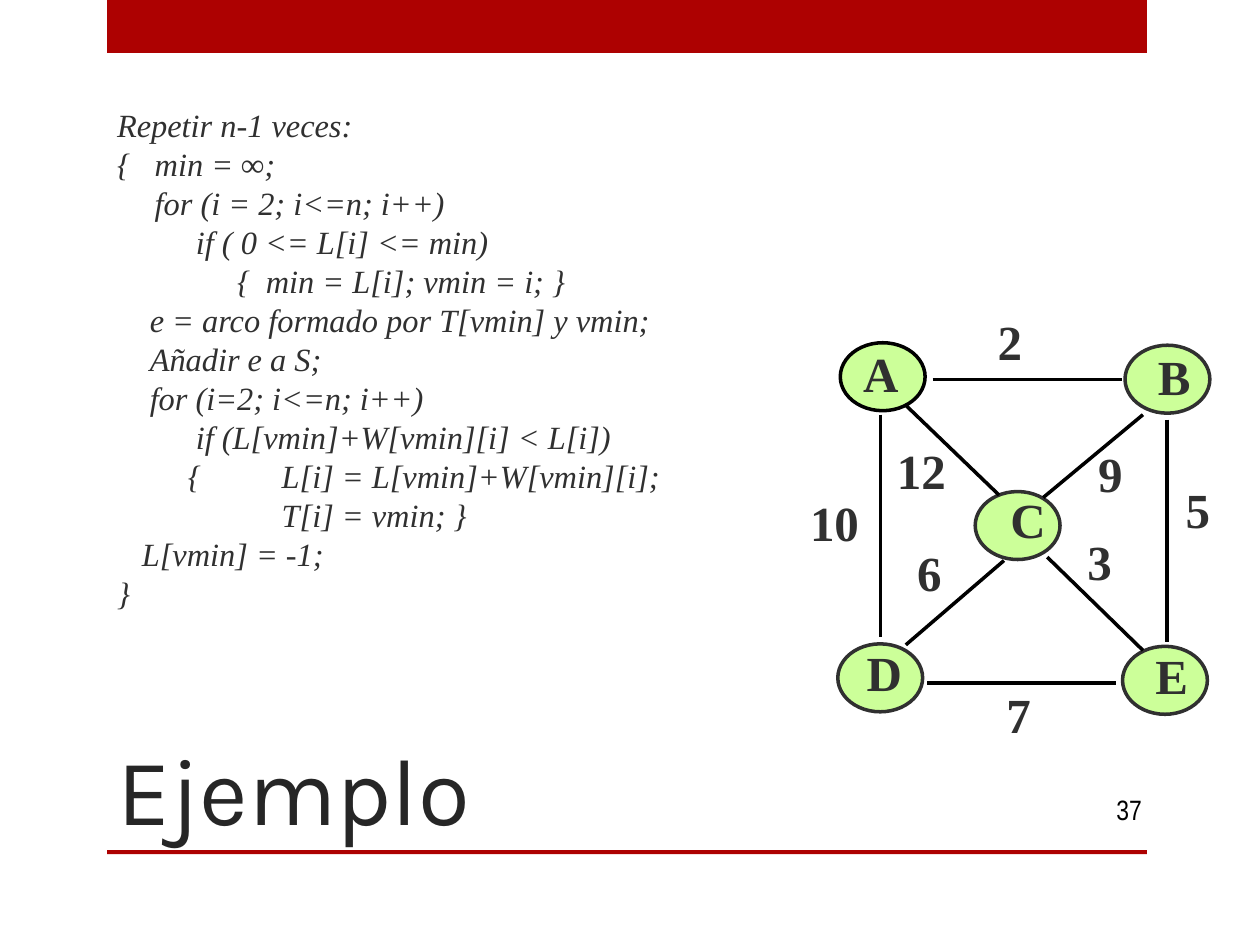
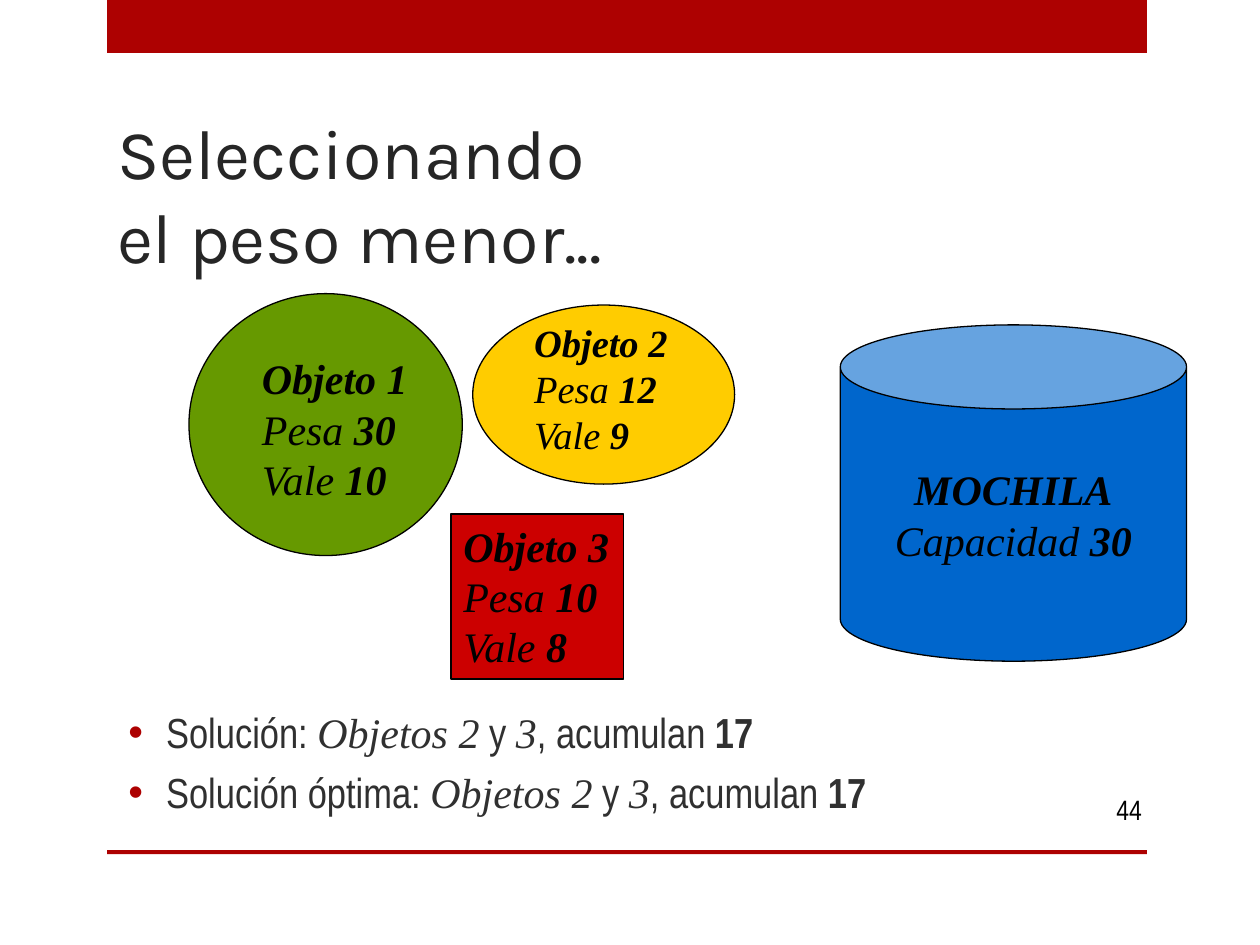
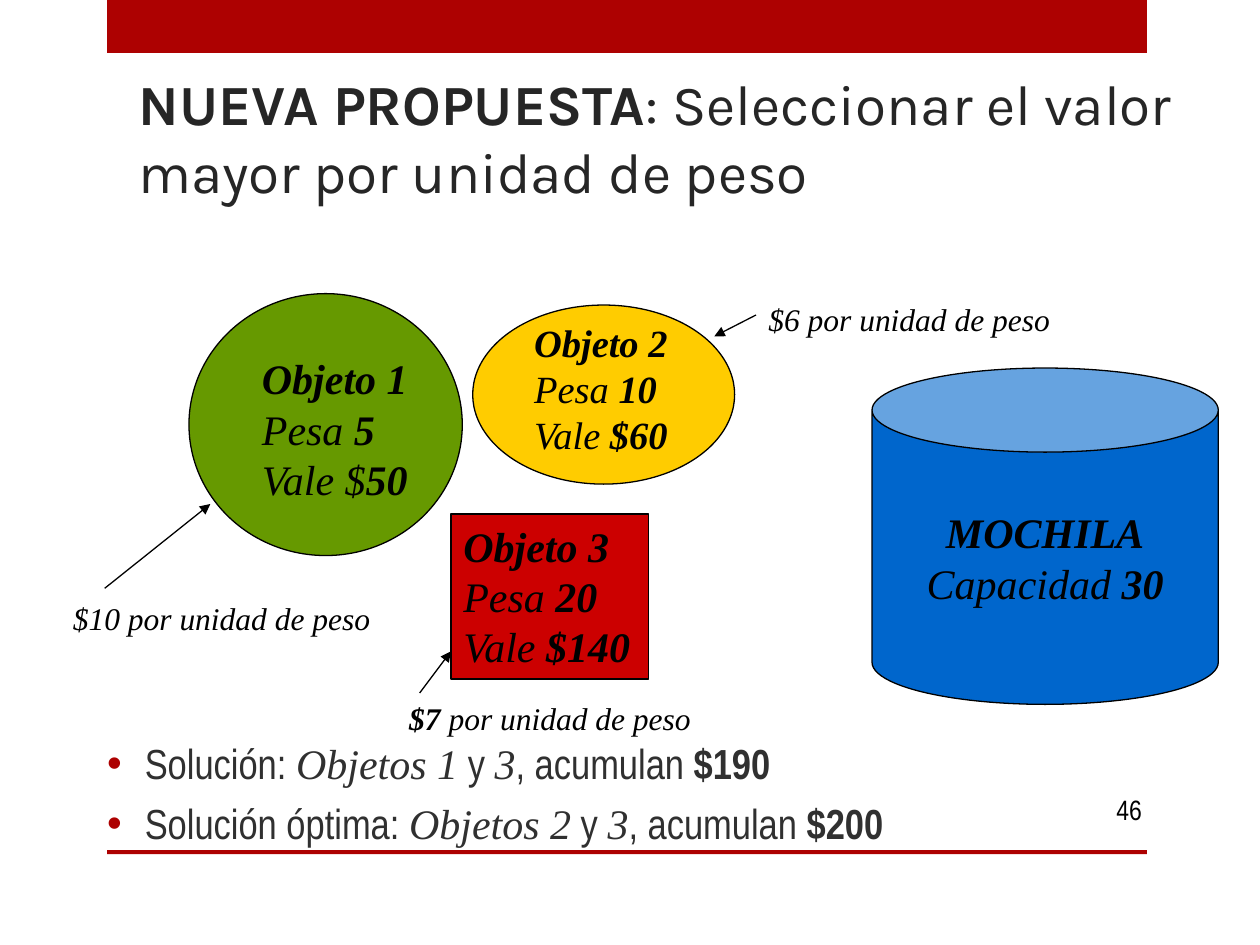
from lxml.etree import SubElement
from pptx import Presentation
from pptx.dml.color import RGBColor as RGB
from pptx.enum.shapes import MSO_CONNECTOR as CONN, MSO_SHAPE as SHAPE
from pptx.enum.text import MSO_ANCHOR as ANCHOR, PP_ALIGN as ALIGN
from pptx.oxml.ns import qn
from pptx.util import Cm, Pt


class Theme:
    red = "AD0101"
    title = "262626"
    text = "303030"
    black = "000000"
    node = "CCFF99"
    green = "669900"
    yellow = "FFCC00"
    box = "CC0000"
    blue = "0066CC"
    head_font = "Karla"
    body_font = "Arial Narrow"
    serif = "Times New Roman"
    code_size = 18.5
    body_size = 24
    small_object_size = 22
    label_size = 28
    note_size = 18
    number_size = 16
    thin = 0.75
    thick = 2


def add_shape(shapes, kind, box, fill, line=None, width=Theme.thin):
    sp = shapes.add_shape(kind, *map(Cm, box))
    sp.shadow.inherit = False
    sp.fill.solid()
    sp.fill.fore_color.rgb = RGB.from_string(fill)
    if line:
        sp.line.color.rgb = RGB.from_string(line)
        sp.line.width = Pt(width)
    else:
        sp.line.fill.background()
    return sp


def write(sp, paragraphs, size, font=Theme.serif, color=Theme.black,
          anchor=ANCHOR.TOP, align=ALIGN.LEFT, wrap=False):
    tf = sp.text_frame
    tf.word_wrap = wrap
    tf.vertical_anchor = anchor
    for n, runs in enumerate(paragraphs):
        p = tf.add_paragraph() if n else tf.paragraphs[0]
        p.alignment = align
        for text, style in runs:
            r = p.add_run()
            r.text = text
            r.font.size = Pt(size)
            r.font.name = Theme.serif if "s" in style else font
            r.font.bold = "b" in style
            r.font.italic = "i" in style
            r.font.color.rgb = RGB.from_string(color)
    return tf


prs = Presentation()
prs.slide_width = Cm(25.4)
prs.slide_height = Cm(19.05)

pages = [
    ("37", (2.11, 12.7, 18.85, 4.45), 54, [[("Ejemplo", "")]]),
    ("44", (2.11, 1.27, 18.85, 4.45), 40,
     [[("Seleccionando", "")], [("el peso menor...", "")]]),
    ("46", (2.54, 1.07, 21.4, 3.18), 32.4,
     [[("NUEVA PROPUESTA", "b"),
       (": Seleccionar el valor mayor por unidad de peso", "")]]),
]
for number, box, size, title in pages:
    s = prs.slides.add_slide(prs.slide_layouts[6])
    for top, height in [(0, 1.07), (17.14, 0.08)]:
        add_shape(s.shapes, SHAPE.RECTANGLE, (2.16, top, 20.96, height), Theme.red)
    write(s.shapes.add_textbox(*map(Cm, box)), title, size, Theme.head_font,
          Theme.title, ANCHOR.BOTTOM, wrap=True)
    write(s.shapes.add_textbox(Cm(21.16), Cm(15.8), Cm(2.11), Cm(1.02)),
          [[(number, "")]], Theme.number_size, Theme.body_font,
          anchor=ANCHOR.MIDDLE, align=ALIGN.RIGHT, wrap=True)

graph, lightest, ratio = prs.slides

code = [
    ("Repetir n-1 veces:", 0, 0),
    ("{\tmin = ∞;", 0.76, -0.76),
    ("for (i = 2; i<=n; i++)", 0.76, 0),
    ("if ( 0 <= L[i] <= min)", 1.59, 0),
    ("{\tmin = L[i]; vmin = i; }", 3, -0.58),
    ("e = arco formado por T[vmin] y vmin;", 0.66, 0),
    ("Añadir e a S;", 0.66, 0),
    ("for (i=2; i<=n; i++)", 0.66, 0),
    ("if (L[vmin]+W[vmin][i] < L[i])", 1.59, 0),
    ("{\tL[i] = L[vmin]+W[vmin][i];", 3.32, -1.89),
    ("T[i] = vmin; }", 3.32, 0),
    ("L[vmin] = -1;", 0.5, 0),
    ("}", 0, 0),
]
tf = write(graph.shapes.add_textbox(Cm(2.11), Cm(1.9), Cm(20.96), Cm(10.8)),
           [[(text, "i")] for text, _, _ in code], Theme.code_size,
           color=Theme.text, anchor=ANCHOR.MIDDLE, wrap=True)
for p, (_, margin, indent) in zip(tf.paragraphs, code):
    p.line_spacing = 0.8
    p.space_before = Pt(4.5)
    pPr = p._p.get_or_add_pPr()
    pPr.set("marL", str(Cm(margin)))
    pPr.set("indent", str(Cm(indent)))

nodes = [
    (16.94, 6.91, Theme.black),
    (22.68, 6.96, Theme.text),
    (19.66, 9.91, Theme.text),
    (16.89, 12.98, Theme.text),
    (22.63, 13.03, Theme.text),
]
for x, y, line in nodes:
    add_shape(graph.shapes, SHAPE.OVAL, (x, y, 1.71, 1.37), Theme.node, line, Theme.thick)

edges = [
    (18.8, 7.65, 22.61, 7.65),
    (18.69, 13.77, 22.5, 13.77),
    (23.52, 8.46, 23.52, 12.95),
    (17.75, 8.36, 17.75, 12.85),
    (20.24, 11.3, 18.26, 13),
    (23.04, 8.36, 21.03, 10.03),
    (20.14, 9.98, 18.24, 8.15),
    (23.04, 13.11, 21.11, 11.23),
]
arrows = [
    (2.11, 11.86, 4.24, 10.16),
    (8.46, 13.97, 9.09, 13.13),
    (15.24, 6.35, 14.4, 6.78),
]
for s, lines, width, has_head in [(graph, edges, Theme.thick, False),
                                  (ratio, arrows, Theme.thin, True)]:
    for ends in lines:
        cn = s.shapes.add_connector(CONN.STRAIGHT, *map(Cm, ends))
        cn.line.color.rgb = RGB.from_string(Theme.black)
        cn.line.width = Pt(width)
        spPr = cn._element.spPr
        if has_head:
            SubElement(spPr.find(qn("a:ln")), qn("a:tailEnd"), type="triangle")
        SubElement(spPr, qn("a:effectLst"))

labels = [
    ("A", 17.15, 6.81, 1.22), ("B", 23.09, 6.86, 1.17), ("C", 20.12, 9.75, 1.22),
    ("D", 17.22, 12.83, 1.22), ("E", 23.04, 12.88, 1.17),
    ("2", 19.86, 6.15, 1), ("5", 23.65, 9.55, 1), ("9", 21.89, 8.81, 1),
    ("3", 21.67, 10.59, 1), ("7", 20.04, 13.67, 1), ("6", 18.24, 10.82, 1),
    ("10", 16.08, 9.8, 1.5), ("12", 17.83, 8.76, 1.5),
]
for text, x, y, width in labels:
    write(graph.shapes.add_textbox(Cm(x), Cm(y), Cm(width), Cm(1.42)),
          [[(text, "b")]], Theme.label_size, color=Theme.text)

ovals = [
    ((3.81, 5.92, 5.51, 5.28), Theme.green, (5.03, 6.99), 3.3, Theme.body_size),
    ((9.53, 6.15, 5.28, 3.61), Theme.yellow, (10.52, 6.3), 3.05, Theme.small_object_size),
]
knapsacks = [
    (lightest, (16.94, 6.55), (3.45, 3.2, 3.48),
     [("30", "Vale ", "10"), ("12", "Vale ", "9"), ("10", "Vale ", "8")],
     (2.34, 13.77, 20.75, 3.18), [("Solución: ", "2", "17"), ("Solución óptima: ", "2", "17")]),
    (ratio, (17.58, 7.42), (3.53, 3.3, 3.99),
     [("5", "Vale $", "50"), ("10", "Vale ", "$60"), ("20", "Vale ", "$140")],
     (1.91, 14.4, 21.59, 3.18), [("Solución: ", "1", "$190"), ("Solución óptima: ", "2", "$200")]),
]
for s, can_at, widths, objects, body_box, solutions in knapsacks:
    texts = [[[(f"Objeto {n}", "bi")],
              [("Pesa ", "i"), (weight, "bi")],
              [(prefix, "i"), (value, "bi")]]
             for n, (weight, prefix, value) in enumerate(objects, 1)]
    for (box, fill, at, height, size), width, text in zip(ovals, widths, texts):
        group = s.shapes.add_group_shape()
        add_shape(group.shapes, SHAPE.OVAL, box, fill, Theme.black)
        write(group.shapes.add_textbox(*map(Cm, (*at, width, height))), text, size)
    sp = add_shape(s.shapes, SHAPE.RECTANGLE, (9.09, 10.36, widths[2], 3.33),
                   Theme.box, Theme.black)
    write(sp, texts[2], Theme.body_size)
    sp = add_shape(s.shapes, SHAPE.CAN, (*can_at, 6.98, 6.78), Theme.blue, Theme.black)
    write(sp, [[("MOCHILA", "bi")], [("Capacidad ", "i"), ("30", "bi")]],
          Theme.body_size, anchor=ANCHOR.MIDDLE, align=ALIGN.CENTER)

    tf = write(s.shapes.add_textbox(*map(Cm, body_box)),
               [[(lead, ""), (f"Objetos {first}", "si"), (" y ", ""), ("3", "si"),
                 (", acumulan ", ""), (total, "b")] for lead, first, total in solutions],
               Theme.body_size, Theme.body_font, Theme.text, ANCHOR.MIDDLE, wrap=True)
    for p in tf.paragraphs:
        p.space_before = Pt(5.5)
        pPr = p._p.get_or_add_pPr()
        pPr.set("marL", str(Cm(0.76)))
        pPr.set("indent", str(Cm(-0.76)))
        SubElement(SubElement(pPr, qn("a:buClr")), qn("a:srgbClr"), val=Theme.red)
        SubElement(pPr, qn("a:buFont"), typeface="Arial")
        SubElement(pPr, qn("a:buChar"), char="•")

notes = [
    ("$10", "i", 1.22, 11.96, 6.5),
    ("$7", "bi", 8, 13.97, 6.2),
    ("$6", "i", 15.24, 5.92, 6.2),
]
for price, style, x, y, width in notes:
    write(ratio.shapes.add_textbox(Cm(x), Cm(y), Cm(width), Cm(1.02)),
          [[(price, style), (" por unidad de peso", "i")]], Theme.note_size)

prs.save("out.pptx")
